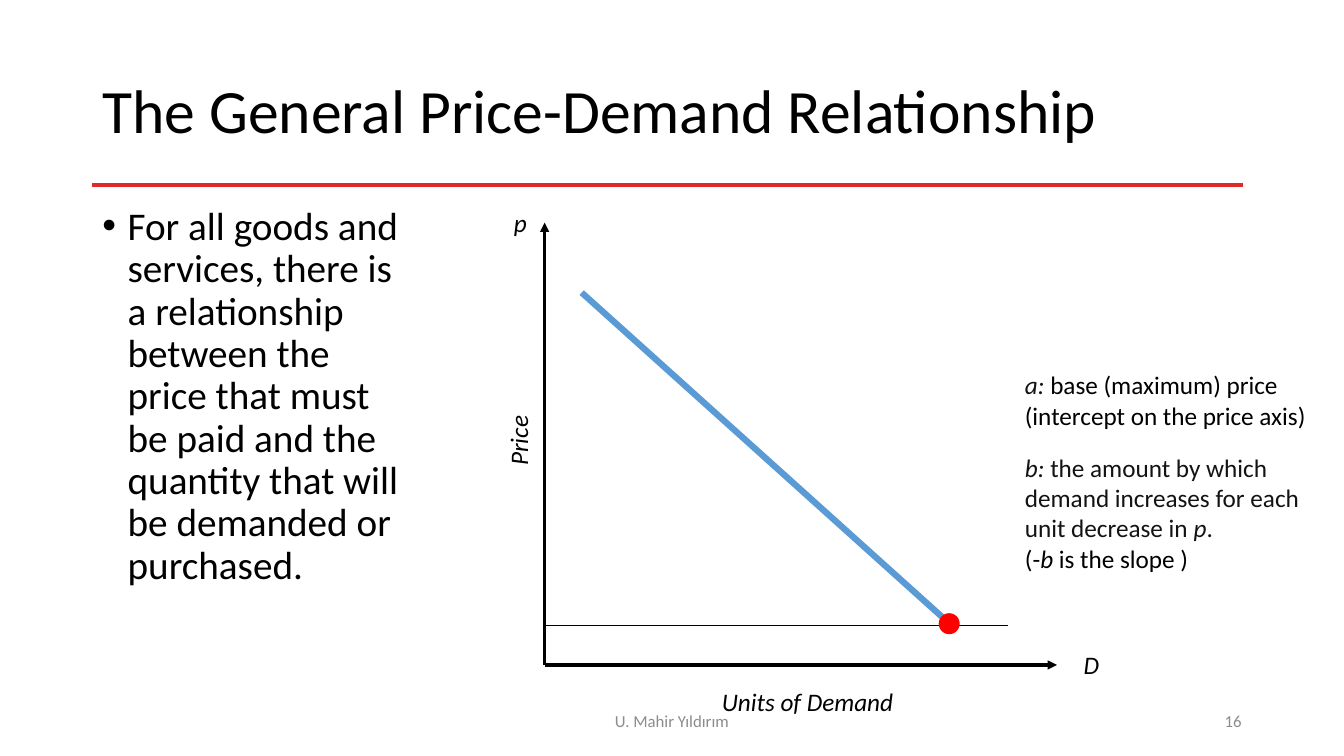
from lxml import etree
from pptx import Presentation
from pptx.dml.color import RGBColor
from pptx.enum.shapes import MSO_CONNECTOR as Connector, MSO_SHAPE as Shape
from pptx.enum.text import MSO_ANCHOR as Anchor, MSO_AUTO_SIZE as AutoSize, PP_ALIGN as Align
from pptx.oxml.ns import qn
from pptx.util import Pt

BLACK, INK, GREY = "000000", "131313", "8C8C8C"
RULE_RED, DEMAND_BLUE, POINT_RED = "E12927", "5B9BD5", "FF0000"


def color(hex_string):
    return RGBColor.from_string(hex_string)


def place(shape, left, top, width, height):
    shape.left, shape.top = Pt(left), Pt(top)
    shape.width, shape.height = Pt(width), Pt(height)


def write_runs(paragraph, runs, size=18, align=Align.LEFT, line_spacing=1.0):
    paragraph.alignment = align
    paragraph.line_spacing = line_spacing
    paragraph.space_before = Pt(0)
    for text, italic, hex_string in runs:
        run = paragraph.add_run()
        run.text = text
        run.font.name = "Calibri"
        run.font.size = Pt(size)
        run.font.italic = italic
        run.font.color.rgb = color(hex_string)


def add_text(slide, box, *paragraphs, wrap=True, anchor=Anchor.TOP, rotation=0, **text_format):
    shape = slide.shapes.add_textbox(*map(Pt, box))
    shape.rotation = rotation
    frame = shape.text_frame
    frame.word_wrap = wrap
    frame.auto_size = AutoSize.NONE
    frame.vertical_anchor = anchor
    for index, runs in enumerate(paragraphs):
        paragraph = frame.add_paragraph() if index else frame.paragraphs[0]
        write_runs(paragraph, runs, **text_format)


def add_line(slide, start, end, hex_string, width, arrow=False):
    line = slide.shapes.add_connector(Connector.STRAIGHT, *map(Pt, (*start, *end)))
    line.line.color.rgb = color(hex_string)
    line.line.width = Pt(width)
    if arrow:
        etree.SubElement(line.line._get_or_add_ln(), qn("a:tailEnd"), type="triangle")
    etree.SubElement(line._element.spPr, qn("a:effectLst"))


def fill_placeholder(shape, box, text, size, anchor):
    place(shape, *box)
    frame = shape.text_frame
    frame.word_wrap = True
    frame.auto_size = AutoSize.NONE
    frame.vertical_anchor = anchor
    write_runs(frame.paragraphs[0], [(text, False, BLACK)], size, line_spacing=0.9)
    return frame.paragraphs[0]


def add_heading(slide, left, top, width, height):
    fill_placeholder(slide.shapes.title, (left, top, width, height),
                     "The General Price-Demand Relationship", 44, Anchor.MIDDLE)
    rule_top = top + height - 1.5
    add_line(slide, (left, rule_top), (left + 822, rule_top), RULE_RED, 3)


def add_explanation(slide, *box):
    paragraph = fill_placeholder(
        slide.placeholders[1], box,
        "For all goods and services, there is a relationship between the price "
        "that must be paid and the quantity that will be demanded or purchased.",
        28, Anchor.TOP)
    properties = paragraph._p.get_or_add_pPr()
    properties.set("marL", str(Pt(18)))
    properties.set("indent", str(Pt(-18)))
    etree.SubElement(properties, qn("a:buFont"), typeface="Arial")
    etree.SubElement(properties, qn("a:buChar"), char="•")


def add_demand_diagram(slide, left, top, width, height):
    bottom = top + height
    origin = (left, bottom)
    for tip in ((left, top), (left + width, bottom)):
        add_line(slide, origin, tip, BLACK, 2.25, arrow=True)
    axis_labels = [
        ("p", left - 29, top - 14.5, 24, 0),
        ("D", left + width + 12, bottom - 14.5, 26, 0),
        ("Units of Demand", left + 119.5, bottom + 11.5, 138, 0),
        ("Price", left - 44, top + 141, 50.4, 270),
    ]
    for text, label_left, label_top, label_width, rotation in axis_labels:
        add_text(slide, (label_left, label_top, label_width, 29), [(text, True, BLACK)],
                 wrap=False, rotation=rotation)
    floor = bottom - 28
    add_line(slide, (left + 26.5, top + 50), (left + 291, floor), DEMAND_BLUE, 4.5)
    add_line(slide, (left, floor), (left + 331, floor), BLACK, 0.5)
    point = slide.shapes.add_shape(Shape.OVAL, Pt(left + 281.5), Pt(floor - 9), Pt(15), Pt(15))
    point.shadow.inherit = False
    point.fill.solid()
    point.fill.fore_color.rgb = color(POINT_RED)
    point.line.fill.background()


def add_definitions(slide, left, top, width, height):
    add_text(slide, (left, top, width, 73),
             [("a: ", True, INK),
              ("base (maximum) price (intercept on the price axis)", False, BLACK)])
    slope_top = top + 59
    add_text(slide, (left, slope_top, width - 18, top + height - slope_top),
             [("b: ", True, INK),
              ("the amount by which demand increases for each unit decrease in ", False, INK),
              ("p", True, INK), (".", False, INK)],
             [("(-", False, BLACK), ("b ", True, BLACK), ("is the slope )", False, BLACK)])


def add_footer(slide, left, top, width, height):
    number_width = 216
    parts = [
        ("U. Mahir Yıldırım", left, 324, Align.CENTER),
        ("16", left + width - number_width, number_width, Align.RIGHT),
    ]
    for text, part_left, part_width, align in parts:
        add_text(slide, (part_left, top, part_width, height), [(text, False, GREY)],
                 anchor=Anchor.MIDDLE, size=12, align=align)


def main():
    presentation = Presentation()
    presentation.slide_width, presentation.slide_height = Pt(960), Pt(540)
    slide = presentation.slides.add_slide(presentation.slide_layouts[1])
    add_heading(slide, 66, 29, 828, 104.5)
    add_explanation(slide, 66, 144, 237, 343)
    add_demand_diagram(slide, 389, 159, 366, 316)
    add_definitions(slide, 725, 260.5, 235, 153.5)
    add_footer(slide, 318, 500.5, 576, 29)
    presentation.save("out.pptx")


if __name__ == "__main__":
    main()
